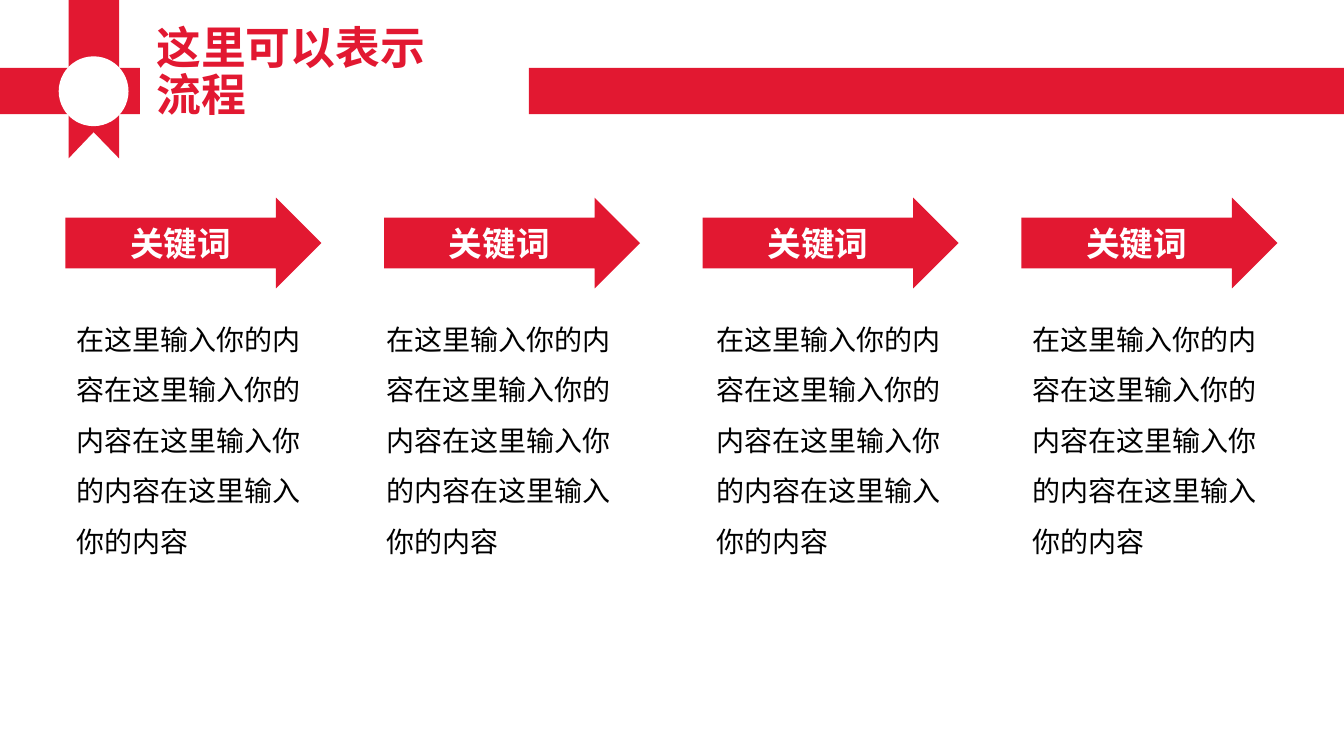
"""Builds a four-step process slide with a ribbon header."""
import pptx
import pptx.dml.color
import pptx.enum.shapes
import pptx.enum.text
import pptx.oxml.ns
import pptx.util
from dataclasses import dataclass
from lxml import etree

Cm = pptx.util.Cm
Pt = pptx.util.Pt
SHAPE = pptx.enum.shapes.MSO_SHAPE
ALIGN = pptx.enum.text.PP_ALIGN
ANCHOR = pptx.enum.text.MSO_ANCHOR


@dataclass(frozen=True)
class Theme:
    red: str = "E21831"
    white: str = "FFFFFF"
    black: str = "000000"
    latin: str = "Cabin"
    cjk: str = "Noto Sans CJK SC"
    title: int = 32
    keyword: int = 24
    body: int = 20


theme = Theme()


def paint(sp, color):
    sp.shadow.inherit = False
    sp.fill.solid()
    sp.fill.fore_color.rgb = pptx.dml.color.RGBColor.from_string(color)
    sp.line.fill.background()


def write(sp, text, size, color, font=theme.cjk, bold=False, align=ALIGN.LEFT,
          anchor=ANCHOR.TOP, spacing=None, side=Cm(0.25)):
    tf = sp.text_frame
    tf.word_wrap = True
    tf.vertical_anchor = anchor
    tf.margin_left = tf.margin_right = side
    p = tf.paragraphs[0]
    p.alignment = align
    p.line_spacing = spacing
    r = p.add_run()
    r.text = text
    r.font.size = Pt(size)
    r.font.bold = bold
    r.font.name = font
    r.font.color.rgb = pptx.dml.color.RGBColor.from_string(color)
    ea = etree.SubElement(r.font._element, pptx.oxml.ns.qn("a:ea"))
    ea.set("typeface", theme.cjk)


prs = pptx.Presentation()
prs.slide_width, prs.slide_height = Cm(33.87), Cm(19.05)
s = prs.slides.add_slide(prs.slide_layouts[6])

for left, width in ((0, 3.53), (13.33, 20.54)):
    bar = s.shapes.add_shape(SHAPE.RECTANGLE, Cm(left), Cm(1.71), Cm(width), Cm(1.17))
    paint(bar, theme.red)

fb = s.shapes.build_freeform(Cm(3), Cm(0))
fb.add_line_segments([(Cm(x), Cm(y)) for x, y in
                      ((1.73, 0), (1.73, 3.99), (2.36, 3.33), (3, 3.99))])
paint(fb.convert_to_shape(), theme.red)

medal = s.shapes.add_shape(SHAPE.OVAL, Cm(1.48), Cm(1.42), Cm(1.76), Cm(1.76))
paint(medal, theme.white)

title = s.shapes.add_textbox(Cm(3.94), Cm(1.67), Cm(7.16), Cm(1.5))
write(title, "这里可以表示流程", theme.title, theme.red, font=theme.latin, bold=True,
      anchor=ANCHOR.BOTTOM, spacing=Pt(33.5), side=0)

for i, body_left in enumerate((1.68, 9.48, 17.8, 25.76)):
    arrow = s.shapes.add_shape(SHAPE.RIGHT_ARROW, Cm(1.65 + 8.03 * i), Cm(4.98),
                               Cm(6.45), Cm(2.29))
    arrow.adjustments[0] = 0.56
    arrow.adjustments[1] = 0.5
    paint(arrow, theme.red)
    write(arrow, "关键词", theme.keyword, theme.white, bold=True,
          align=ALIGN.CENTER, anchor=ANCHOR.MIDDLE)

    body = s.shapes.add_textbox(Cm(body_left), Cm(7.58), Cm(6.4), Cm(6.53))
    write(body, "在这里输入你的内容" * 4, theme.body, theme.black, spacing=Pt(36))

prs.save("out.pptx")
